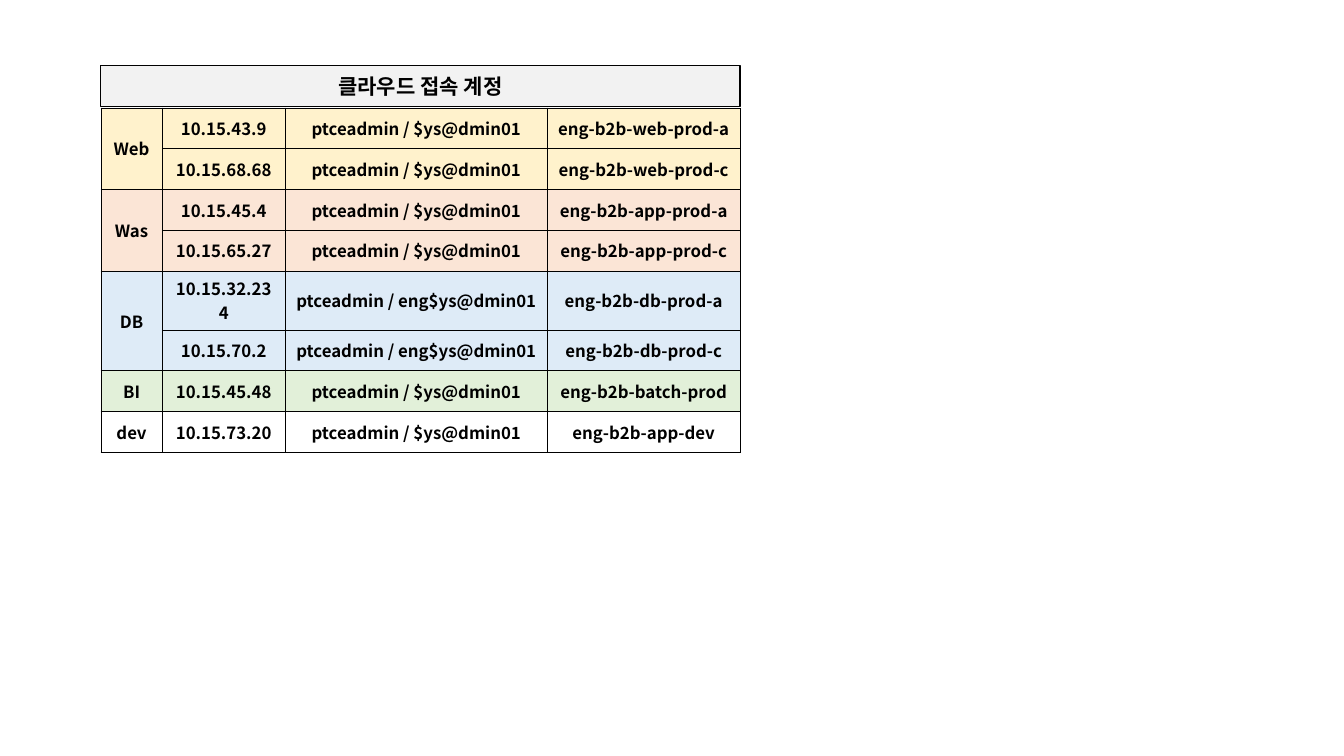
from dataclasses import dataclass
from typing import Any

from lxml import etree
from pptx import Presentation
from pptx import util as u
from pptx.dml import color
from pptx.enum import shapes, text
from pptx.oxml import ns


@dataclass(frozen=True)
class Theme:
    font: str = "Noto Sans CJK KR"
    ink: str = "000000"
    title_fill: str = "F2F2F2"
    web: str = "FFF2CC"
    was: str = "FBE5D6"
    db: str = "DEEBF7"
    bi: str = "E2F0D9"
    title_size: float = 15
    cell_size: float = 12
    title_line: float = 1
    cell_line: float = 0.5


@dataclass(frozen=True)
class Server:
    address: str
    name: str


@dataclass(frozen=True)
class Group:
    label: str
    login: str
    servers: tuple[Server, ...]
    fill: str | None = None


THEME = Theme()
LOGIN = "ptceadmin / $ys@dmin01"
DB_LOGIN = "ptceadmin / eng$ys@dmin01"
GROUPS = (
    Group("Web", LOGIN, (Server("10.15.43.9", "eng-b2b-web-prod-a"),
                         Server("10.15.68.68", "eng-b2b-web-prod-c")), THEME.web),
    Group("Was", LOGIN, (Server("10.15.45.4", "eng-b2b-app-prod-a"),
                         Server("10.15.65.27", "eng-b2b-app-prod-c")), THEME.was),
    Group("DB", DB_LOGIN, (Server("10.15.32.234", "eng-b2b-db-prod-a"),
                           Server("10.15.70.2", "eng-b2b-db-prod-c")), THEME.db),
    Group("BI", LOGIN, (Server("10.15.45.48", "eng-b2b-batch-prod"),), THEME.bi),
    Group("dev", LOGIN, (Server("10.15.73.20", "eng-b2b-app-dev"),)),
)
LEFT, TITLE_TOP, TABLE_TOP, ROW_HEIGHT = 1, 0.65, 1.07, 0.405
COLUMN_WIDTHS = (0.61, 1.22, 2.6, 1.91)


def apply(target: Any, values: dict[str, Any]) -> None:
    for name, value in values.items():
        setattr(target, name, value)


def write(frame: Any, content: str, size: float) -> None:
    paragraph = frame.paragraphs[0]
    paragraph.alignment = text.PP_ALIGN.CENTER
    run = paragraph.add_run()
    run.text = content
    apply(run.font, {"size": u.Pt(size), "bold": True, "name": THEME.font})
    run.font.color.rgb = color.RGBColor.from_string(THEME.ink)
    properties = run._r.get_or_add_rPr()
    etree.SubElement(properties, ns.qn("a:ea"), typeface=THEME.font)


def paint(fill: Any, value: str | None) -> None:
    if value is None:
        fill.background()
    else:
        fill.solid()
        fill.fore_color.rgb = color.RGBColor.from_string(value)


def add_borders(cell: Any) -> None:
    properties = cell._tc.get_or_add_tcPr()
    for side in ("L", "R", "T", "B"):
        line = etree.SubElement(properties, ns.qn(f"a:ln{side}"), w=str(u.Pt(THEME.cell_line)))
        fill = etree.SubElement(line, ns.qn("a:solidFill"))
        etree.SubElement(fill, ns.qn("a:srgbClr"), val=THEME.ink)


def add_title(slide: Any) -> None:
    shape = slide.shapes.add_shape(
        shapes.MSO_SHAPE.RECTANGLE, u.Inches(LEFT), u.Inches(TITLE_TOP),
        u.Inches(sum(COLUMN_WIDTHS)), u.Inches(0.41))
    shape.shadow.inherit = False
    paint(shape.fill, THEME.title_fill)
    paint(shape.line.fill, THEME.ink)
    shape.line.width = u.Pt(THEME.title_line)
    apply(shape.text_frame, {"word_wrap": True, "vertical_anchor": text.MSO_ANCHOR.MIDDLE})
    write(shape.text_frame, "클라우드 접속 계정", THEME.title_size)


def add_accounts(slide: Any) -> None:
    row_count = sum(len(group.servers) for group in GROUPS)
    table = slide.shapes.add_table(
        row_count, len(COLUMN_WIDTHS), u.Inches(LEFT), u.Inches(TABLE_TOP),
        u.Inches(sum(COLUMN_WIDTHS)), u.Inches(row_count * ROW_HEIGHT)).table
    apply(table, {"first_row": False, "horz_banding": False})
    for column, width in zip(table.columns, COLUMN_WIDTHS):
        column.width = u.Inches(width)
    for row in table.rows:
        row.height = u.Inches(ROW_HEIGHT)
    first = 0
    for group in GROUPS:
        for offset, server in enumerate(group.servers):
            label = group.label if offset == 0 else ""
            values = (label, server.address, group.login, server.name)
            for column_index, value in enumerate(values):
                cell = table.cell(first + offset, column_index)
                add_borders(cell)
                paint(cell.fill, group.fill)
                cell.vertical_anchor = text.MSO_ANCHOR.MIDDLE
                if value:
                    write(cell.text_frame, value, THEME.cell_size)
        last = first + len(group.servers) - 1
        if last > first:
            table.cell(first, 0).merge(table.cell(last, 0))
        first = last + 1


def main() -> None:
    presentation = Presentation()
    apply(presentation, {"slide_width": u.Inches(13.33), "slide_height": u.Inches(7.5)})
    slide = presentation.slides.add_slide(presentation.slide_layouts[6])
    add_title(slide)
    add_accounts(slide)
    presentation.save("out.pptx")


if __name__ == "__main__":
    main()
